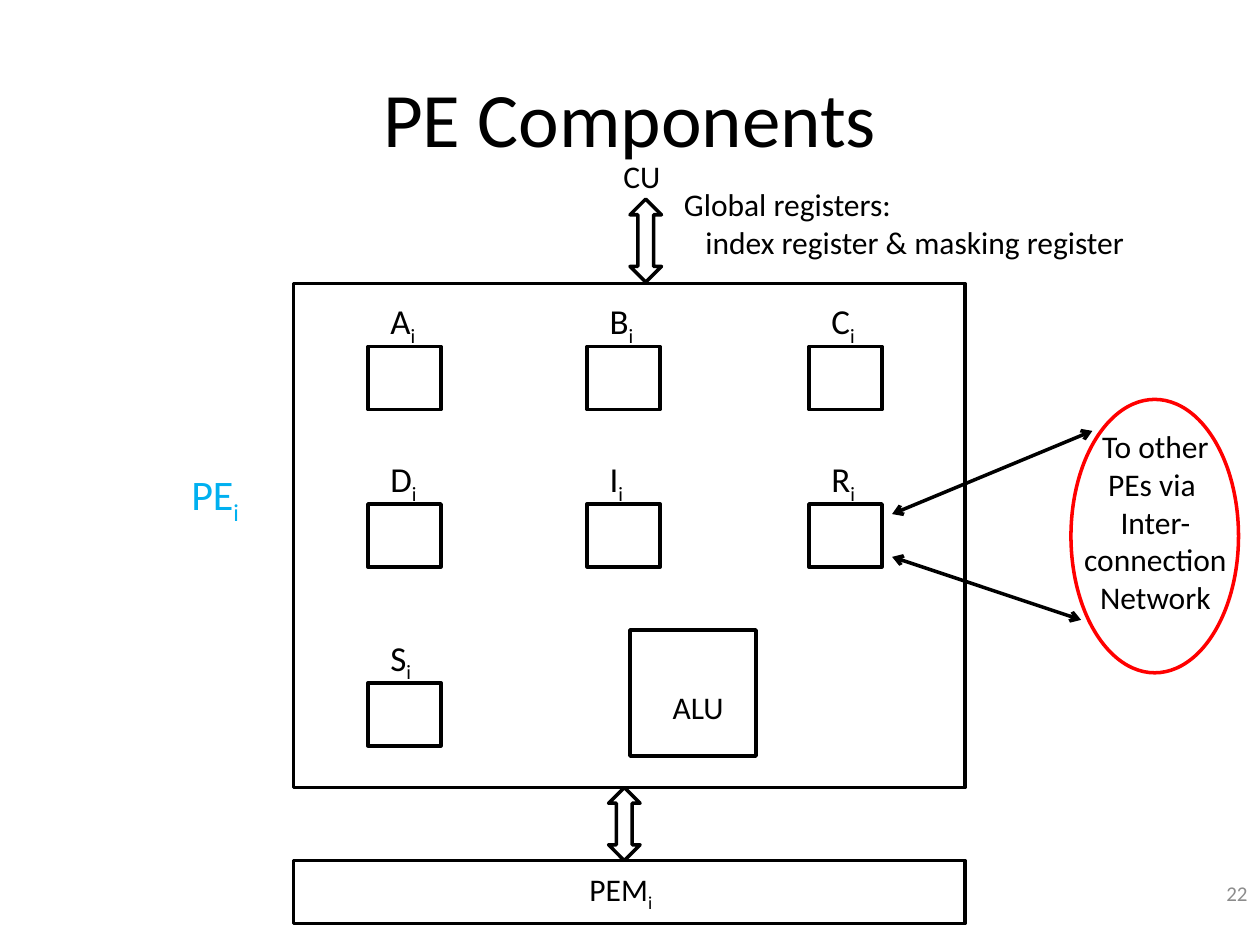
from lxml import etree
from pptx import Presentation
from pptx.dml.color import RGBColor
from pptx.enum.shapes import MSO_CONNECTOR, MSO_SHAPE
from pptx.enum.text import MSO_ANCHOR, PP_ALIGN
from pptx.oxml.ns import qn
from pptx.util import Inches, Pt

RECT, OVAL, ARROW = MSO_SHAPE.RECTANGLE, MSO_SHAPE.OVAL, MSO_SHAPE.UP_DOWN_ARROW
LEFT, MID, RIGHT = PP_ALIGN.LEFT, PP_ALIGN.CENTER, PP_ALIGN.RIGHT
TOP, CENTRE = MSO_ANCHOR.TOP, MSO_ANCHOR.MIDDLE
HUES = {"ink": "000000", "name": "00B0F0", "ring": "FF0000", "page": "8C8C8C"}

deck = Presentation()
deck.slide_width, deck.slide_height = Inches(10), Inches(7.5)
slide = deck.slides.add_slide(deck.slide_layouts[6])
shapes = slide.shapes


def label(text, x, y, w, h, size=18, hue="ink", align=LEFT, anchor=TOP, sub=""):
    """Add a text box, with an optional subscript after its last line."""
    frame = shapes.add_textbox(*map(Inches, (x, y, w, h))).text_frame
    frame.text = text
    frame.word_wrap = size == 44
    frame.vertical_anchor = anchor
    if sub:
        run = frame.paragraphs[-1].add_run()
        run.text = sub
        run.font._element.set("baseline", "-25000")
    for para in frame.paragraphs:
        para.alignment = align
        for run in para.runs:
            run.font.name, run.font.size = "Calibri", Pt(size)
            run.font.color.rgb = RGBColor.from_string(HUES[hue])
    return frame


def trace(shape, hue="ink"):
    """Leave only a plain outline on the shape."""
    shape.shadow.inherit = False
    shape.fill.background()
    shape.line.color.rgb = RGBColor.from_string(HUES[hue])
    shape.line.width = Pt(2)


# Heading and page number
label("PE Components", 0.5, 0.3, 9, 1.25, 44, align=MID, anchor=CENTRE)
label("22", 7.67, 6.83, 2.33, 0.52, 12, "page", RIGHT, CENTRE)

# Processing element, its memory, and the arrows that join them
for kind, x, y, w, h, hue in (
    (RECT, 2.33, 2.25, 5.33, 4, "ink"),
    (RECT, 2.33, 6.83, 5.33, 0.5, "ink"),
    (ARROW, 5, 1.58, 0.25, 0.66, "ink"),
    (ARROW, 4.83, 6.25, 0.25, 0.58, "ink"),
    (OVAL, 8.5, 3.17, 1.33, 2.17, "ring"),
):
    trace(shapes.add_shape(kind, *map(Inches, (x, y, w, h))), hue)

# Registers, in columns and rows
cols, rows = (2.92, 4.66, 6.42), (2.75, 4, 5.42)
for names, y in zip(("ABC", "DIR", "S"), rows):
    for name, x in zip(names, cols):
        trace(shapes.add_shape(RECT, *map(Inches, (x, y, 0.58, 0.5))))
        label(name, x + 0.08, y - 0.42, 0.44, 0.44, 20, sub="i")

# Arithmetic unit
points = [(4.67, 5), (5.42, 5), (5.58, 5.25), (5.75, 5), (6.5, 5), (6.17, 6), (4.92, 6)]
pen = shapes.build_freeform(*points[0], scale=Inches(1))
pen.add_line_segments(points[1:], close=True)
trace(pen.convert_to_shape())
label("ALU", 5.24, 5.41, 0.69, 0.4)

# Links to the network
for ends in ((7.08, 4.08, 8.67, 3.42), (7.08, 4.42, 8.58, 4.92)):
    link = shapes.add_connector(MSO_CONNECTOR.STRAIGHT, *map(Inches, ends))
    link.line.color.rgb = RGBColor.from_string(HUES["ink"])
    link.line.width = Pt(2)
    for tip in ("a:headEnd", "a:tailEnd"):
        etree.SubElement(link.line._get_or_add_ln(), qn(tip), type="arrow")
    etree.SubElement(link._element.spPr, qn("a:effectLst"))

# Remaining labels
label("CU", 4.85, 1.2, 0.57, 0.4)
label("PE", 1.42, 3.67, 0.7, 0.51, 24, "name", sub="i")
label("PEM", 4.58, 6.86, 0.81, 0.4, sub="i")
label("To other\nPEs via \nInter-\nconnection\nNetwork", 8.46, 3.34, 1.42, 1.62, align=MID)
note = label("Global registers:\nindex register & masking register", 5.33, 1.42, 4.09, 0.71)
note.paragraphs[1]._p.get_or_add_pPr().set("marL", str(Inches(0.17)))

deck.save("out.pptx")
